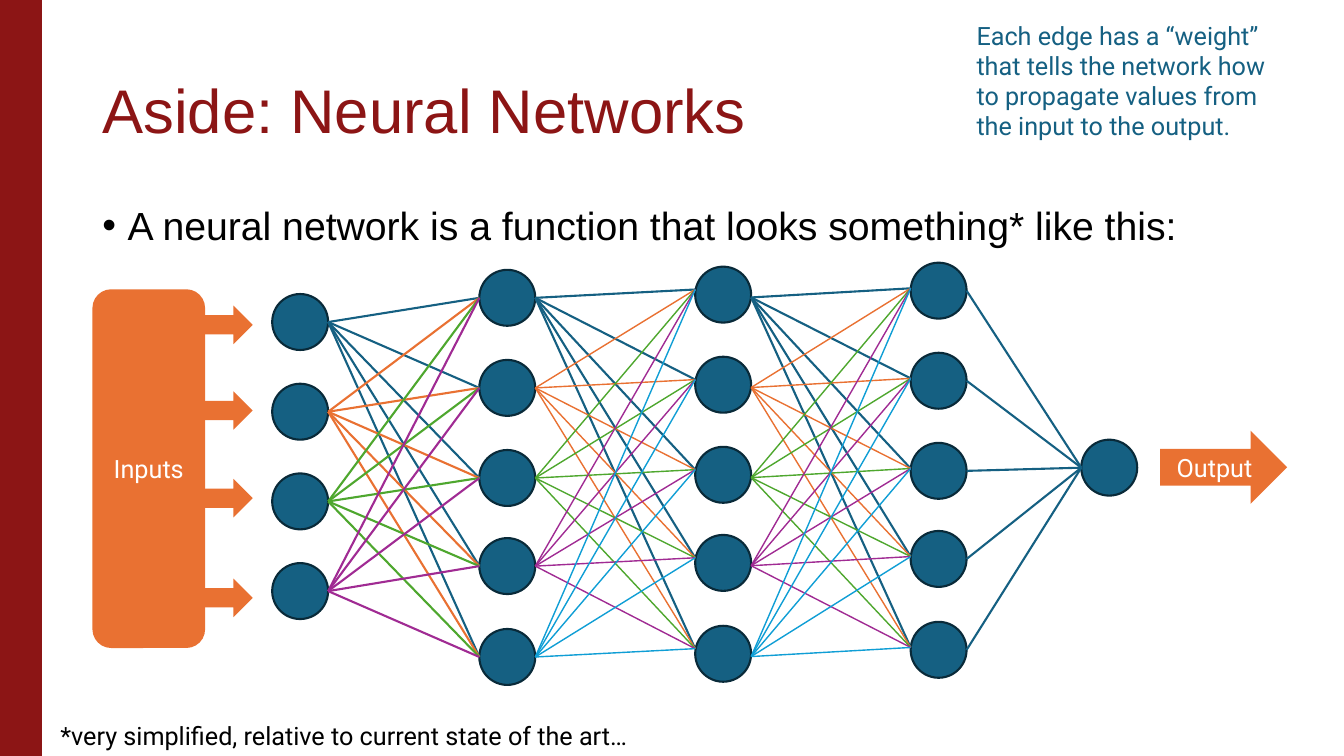
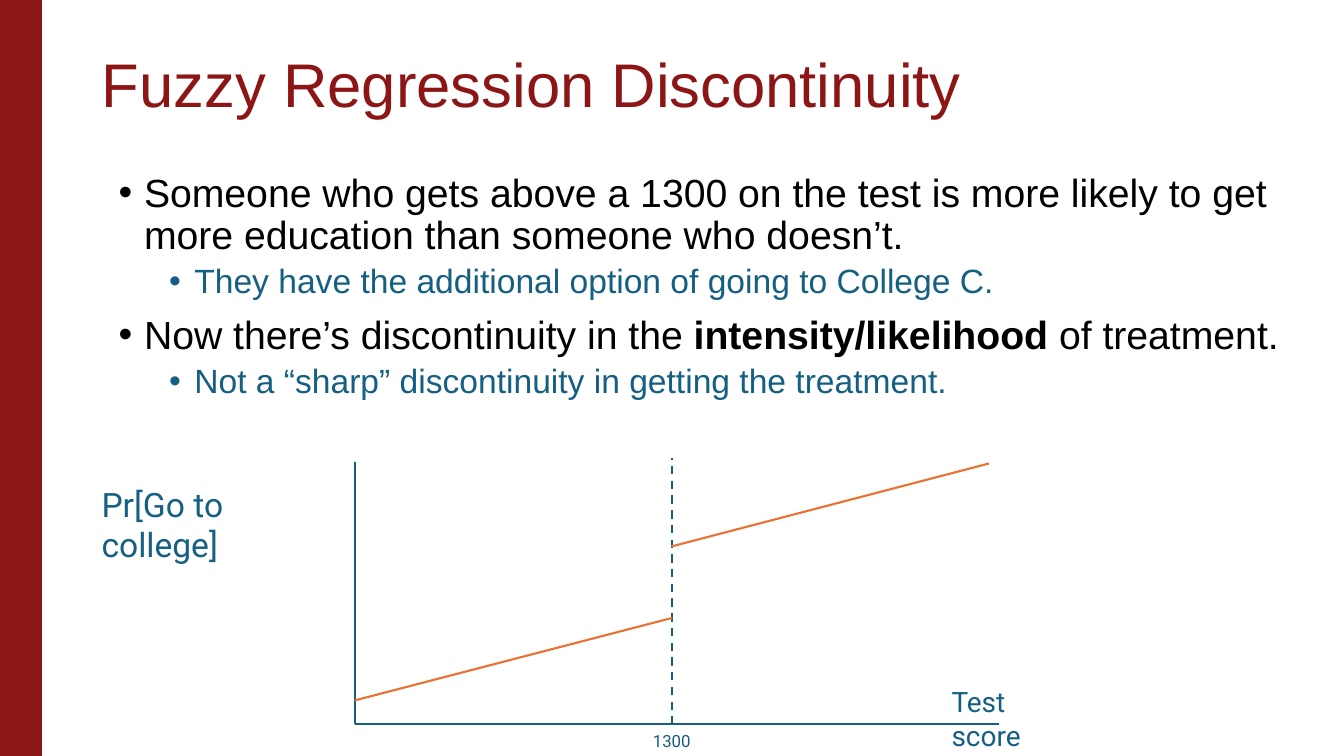
"""Build two lecture slides: a neural network diagram and a fuzzy regression discontinuity."""
import pptx
import pptx.dml.color
import pptx.enum.dml
import pptx.enum.shapes
import pptx.enum.text
import pptx.oxml.ns
import pptx.util
from lxml import etree

Cm = pptx.util.Cm
Pt = pptx.util.Pt
rgb = pptx.dml.color.RGBColor.from_string
qn = pptx.oxml.ns.qn
MSO = pptx.enum.shapes.MSO_SHAPE
ANCHOR = pptx.enum.text.MSO_ANCHOR
ALIGN = pptx.enum.text.PP_ALIGN
DASH = pptx.enum.dml.MSO_LINE.DASH

RED, BLUE, ORANGE = "8C1515", "156082", "E97132"
GREEN, PURPLE, CYAN = "4EA72E", "A02B93", "0F9ED5"
NAVY, BLACK, WHITE = "092A39", "000000", "FFFFFF"


def write(sp, text, size=18, color=BLUE, font="Roboto", align=ALIGN.LEFT,
          anchor=ANCHOR.TOP, spacing=None, before=None, indent=None):
    """Add a paragraph to a shape; text between ** marks is bold."""
    tf = sp.text_frame
    tf.word_wrap = True
    tf.vertical_anchor = anchor
    first = not tf.text
    p = tf.paragraphs[0] if first else tf.add_paragraph()
    p.alignment = align
    if spacing:
        p.line_spacing = spacing
    if before and not first:
        p.space_before = Pt(before)
    if indent:
        pPr = p._p.get_or_add_pPr()
        pPr.set("marL", str(Cm(indent)))
        pPr.set("indent", str(-Cm(0.64)))
        etree.SubElement(pPr, qn("a:buFont")).set("typeface", "Arial")
        etree.SubElement(pPr, qn("a:buChar")).set("char", "•")
    for i, part in enumerate(text.split("**")):
        r = p.add_run()
        r.text = part
        r.font.size = Pt(size)
        r.font.name = font
        r.font.bold = i % 2 == 1
        r.font.color.rgb = rgb(color)


def add_shape(s, kind, x, y, w, h, fill, line=None):
    """Add a flat filled shape, with an outline if a line colour is given."""
    sp = s.shapes.add_shape(kind, Cm(x), Cm(y), Cm(w), Cm(h))
    sp.shadow.inherit = False
    sp.fill.solid()
    sp.fill.fore_color.rgb = rgb(fill)
    if line:
        sp.line.color.rgb = rgb(line)
        sp.line.width = Pt(1.5)
    else:
        sp.line.fill.background()
    return sp


prs = pptx.Presentation()
prs.slide_width = Cm(33.87)
prs.slide_height = Cm(19.05)

slides = []
for title, x, y in [("Aside: Neural Networks", 2.33, 1.01),
                    ("Fuzzy Regression Discontinuity", 2.32, 0.36)]:
    s = prs.slides.add_slide(prs.slide_layouts[6])
    add_shape(s, MSO.RECTANGLE, 0, 0, 1.06, 19.05, RED)
    sp = s.shapes.add_textbox(Cm(x), Cm(y), Cm(29.21), Cm(3.68))
    write(sp, title, size=44, color=RED, font="Arial", anchor=ANCHOR.MIDDLE, spacing=0.9)
    slides.append(s)
network, regression = slides

bodies = [
    (network, 2.33, 5.08, 29.21, [
        (0, "A neural network is a function that looks something* like this:")]),
    (regression, 2.74, 4.24, 30.61, [
        (0, "Someone who gets above a 1300 on the test is more likely to get "
            "more education than someone who doesn’t."),
        (1, "They have the additional option of going to College C."),
        (0, "Now there’s discontinuity in the **intensity/likelihood **of treatment."),
        (1, "Not a “sharp” discontinuity in getting the treatment.")]),
]
levels = [dict(size=28, color=BLACK, before=10, indent=0.64),
          dict(size=24, color=BLUE, before=5, indent=1.91)]
for s, x, y, w, items in bodies:
    sp = s.shapes.add_textbox(Cm(x), Cm(y), Cm(w), Cm(12.09))
    for level, text in items:
        write(sp, text, font="Arial", spacing=0.9, **levels[level])

labels = [
    (network, 1.27, 18.03, 16.26, 1.02, dict(color=BLACK),
     "*very simplified, relative to current state of the art…"),
    (network, 24.36, 0.38, 8.48, 3.33, {},
     "Each edge has a “weight” that tells the network how to propagate values "
     "from the input to the output."),
    (regression, 2.31, 12.07, 4.06, 2.2, dict(size=24), "Pr[Go to college]"),
    (regression, 23.73, 17.13, 2.54, 1.9, dict(size=20), "Test score"),
    (regression, 15.8, 18.29, 2.26, 0.76, dict(size=12, align=ALIGN.CENTER), "1300"),
]
for s, x, y, w, h, style, text in labels:
    write(s.shapes.add_textbox(Cm(x), Cm(y), Cm(w), Cm(h)), text, **style)

node = 1.41
rows = [0, 2.27, 4.54, 6.76, 9.05]
layers = [
    dict(x=6.86, tops=[7.41 + 2.26 * i for i in range(4)], entry=0, exit=0),
    dict(x=12.08, tops=[6.8 + row for row in rows], entry=0, exit=0),
    dict(x=17.52, tops=[6.72 + row for row in rows], entry=-0.13, exit=0.07),
    dict(x=22.95, tops=[6.62 + row for row in rows], entry=-0.06, exit=0),
    dict(x=27.25, tops=[11.08], entry=0, exit=0),
]
for layer in layers:
    for top in layer["tops"]:
        add_shape(network, MSO.OVAL, layer["x"], top, node, node, BLUE, NAVY)

lines = []
edge_colors = [BLUE, ORANGE, GREEN, PURPLE, CYAN]
for i, (left, right) in enumerate(zip(layers, layers[1:])):
    for color, start in zip(edge_colors, left["tops"]):
        if len(right["tops"]) == 1:
            color = BLUE
        width = 1.5 if i == 0 or color == BLUE else 1
        for end in right["tops"]:
            lines.append((network, left["x"] + node, start + node / 2 + left["exit"],
                          right["x"], end + node / 2 + right["entry"], color, width, None))

lines += [
    (regression, 8.94, 11.63, 8.94, 18.24, BLUE, 1.5, None),
    (regression, 25.17, 18.24, 8.94, 18.24, BLUE, 1.5, None),
    (regression, 16.94, 18.26, 16.94, 11.53, BLUE, 1.5, DASH),
    (regression, 8.94, 17.65, 16.94, 15.57, ORANGE, 1.5, None),
    (regression, 16.92, 13.77, 24.92, 11.68, ORANGE, 1.5, None),
]
for s, x1, y1, x2, y2, color, width, dash in lines:
    cxn = s.shapes.add_connector(pptx.enum.shapes.MSO_CONNECTOR.STRAIGHT,
                                 Cm(x1), Cm(y1), Cm(x2), Cm(y2))
    cxn.line.color.rgb = rgb(color)
    cxn.line.width = Pt(width)
    if dash:
        cxn.line.dash_style = dash
    etree.SubElement(cxn._element.spPr, qn("a:effectLst"))

for top in [7.7, 9.86, 12.07, 14.58]:
    add_shape(network, MSO.RIGHT_ARROW, 4.72, top, 1.65, 0.97, ORANGE)
for kind, x, y, w, h, text in [
        (MSO.ROUNDED_RECTANGLE, 2.33, 7.29, 2.84, 9.04, "Inputs"),
        (MSO.RIGHT_ARROW, 29.24, 10.85, 3.2, 1.85, "Output")]:
    sp = add_shape(network, kind, x, y, w, h, ORANGE)
    write(sp, text, color=WHITE, align=ALIGN.CENTER, anchor=ANCHOR.MIDDLE)

prs.save("out.pptx")
